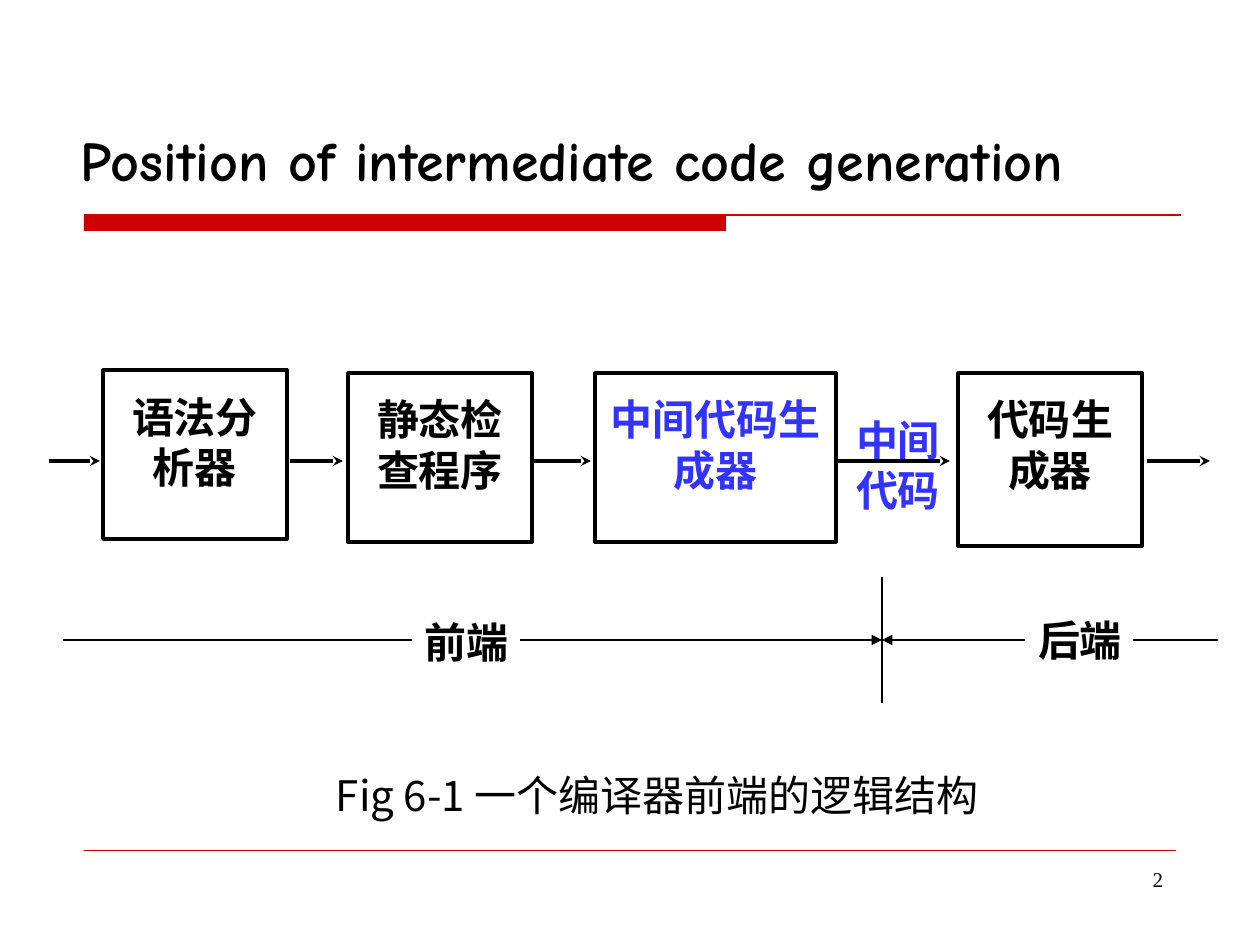
from dataclasses import dataclass
from typing import NamedTuple

from lxml import etree
from pptx import Presentation
from pptx.dml.color import RGBColor
from pptx.enum.shapes import MSO_CONNECTOR, MSO_SHAPE
from pptx.enum.text import MSO_ANCHOR, PP_ALIGN
from pptx.oxml.ns import qn
from pptx.util import Emu, Pt

LEFT, MID, RIGHT = PP_ALIGN.LEFT, PP_ALIGN.CENTER, PP_ALIGN.RIGHT
TOP, BASE = MSO_ANCHOR.TOP, MSO_ANCHOR.BOTTOM
RECT, STRAIGHT = MSO_SHAPE.RECTANGLE, MSO_CONNECTOR.STRAIGHT
SCALE = 914400 / 126


@dataclass(frozen=True)
class Theme:
    black: str = "000000"
    white: str = "FFFFFF"
    red: str = "CC0000"
    blue: str = "3333FF"
    head: str = "Comic Neue"
    body: str = "Noto Sans CJK SC"
    serif: str = "Times New Roman"
    title: int = 32
    text: int = 24
    small: int = 12
    thick: float = 2
    thin: float = 0.75
    hair: float = 0.25


THEME = Theme()


class Area(NamedTuple):
    x: int
    y: int
    w: int
    h: int


@dataclass(frozen=True)
class Style:
    font: str = THEME.body
    size: int = THEME.text
    color: str = THEME.black
    bold: bool = True
    align: PP_ALIGN = LEFT
    anchor: MSO_ANCHOR = TOP
    wrap: bool = True
    inset: tuple[int, int, int, int] = (13, 6, 13, 6)


@dataclass(frozen=True)
class Stage:
    name: str
    area: Area
    color: str = THEME.black


@dataclass(frozen=True)
class Line:
    start: tuple[int, int]
    end: tuple[int, int]
    width: float = THEME.thin
    color: str = THEME.black
    tip: str = ""


FLOW, SPAN, SPLIT = 461, 640, 882

STAGES = [
    Stage("语法分析器", Area(103, 370, 184, 169)),
    Stage("静态检查程序", Area(348, 373, 184, 169)),
    Stage("中间代码生成器", Area(595, 373, 241, 169), THEME.blue),
    Stage("代码生成器", Area(958, 373, 184, 173)),
]
ARROWS = [(49, 100), (290, 343), (534, 591), (835, 950), (1147, 1210)]
LINES = [
    Line((84, 215), (1181, 215), color=THEME.red),
    Line((84, 850), (1176, 850), THEME.hair, THEME.red),
    Line((SPLIT, 577), (SPLIT, 703)),
    Line((63, SPAN), (SPLIT, SPAN), tip="triangle"),
    Line((1218, SPAN), (SPLIT, SPAN), tip="triangle"),
] + [
    Line((a, FLOW), (b, FLOW), THEME.thick, tip="stealth") for a, b in ARROWS
]
SIDES = [("前端", Area(412, 611, 108, 63)), ("后端", Area(1025, 609, 108, 63))]


def px(n: int) -> Emu:
    return Emu(round(n * SCALE))


def rgb(code: str) -> RGBColor:
    return RGBColor.from_string(code)


def write(shape, text: str, style: Style) -> None:
    frame = shape.text_frame
    frame.text = text
    frame.word_wrap = style.wrap
    frame.vertical_anchor = style.anchor
    (frame.margin_left, frame.margin_top,
     frame.margin_right, frame.margin_bottom) = map(px, style.inset)
    for para in frame.paragraphs:
        para.alignment = style.align
        for run in para.runs:
            font = run.font
            font.name, font.size, font.bold = style.font, Pt(style.size), style.bold
            font.color.rgb = rgb(style.color)
            # East Asian glyphs take their typeface from a:ea
            props = run._r.get_or_add_rPr()
            etree.SubElement(props, qn("a:ea"), typeface=style.font)


def label(slide, text: str, area: Area, style: Style) -> None:
    write(slide.shapes.add_textbox(*map(px, area)), text, style)


def block(slide, area: Area, fill: str = "", edge: str = ""):
    """Draw a rectangle; an empty colour means none."""
    shape = slide.shapes.add_shape(RECT, *map(px, area))
    shape.shadow.inherit = False
    if fill:
        shape.fill.solid()
        shape.fill.fore_color.rgb = rgb(fill)
    else:
        shape.fill.background()
    if edge:
        shape.line.color.rgb = rgb(edge)
        shape.line.width = Pt(THEME.thick)
    else:
        shape.line.fill.background()
    return shape


def rule(slide, line: Line) -> None:
    """Draw a straight line, with an arrowhead at its end if it has a tip."""
    wire = slide.shapes.add_connector(STRAIGHT, *map(px, line.start + line.end))
    wire.line.color.rgb = rgb(line.color)
    wire.line.width = Pt(line.width)
    if line.tip:
        etree.SubElement(wire.line._get_or_add_ln(), qn("a:tailEnd"), type=line.tip)
    etree.SubElement(wire._element.spPr, qn("a:effectLst"))


def main() -> None:
    deck = Presentation()
    deck.slide_width, deck.slide_height = px(1260), px(945)
    slide = deck.slides.add_slide(deck.slide_layouts[6])

    block(slide, Area(84, 215, 642, 16), THEME.red)
    label(slide, "Position of intermediate code generation", Area(67, 43, 1216, 156),
          Style(THEME.head, THEME.title, anchor=BASE))
    label(slide, "中间\n代码", Area(835, 413, 136, 169),
          Style(color=THEME.blue, align=MID, inset=(3, 1, 13, 6)))

    for line in LINES:
        rule(slide, line)
    for text, area in SIDES:
        write(block(slide, area, THEME.white), text, Style(wrap=False))
    for stage in STAGES:
        write(block(slide, stage.area, edge=THEME.black), stage.name,
              Style(color=stage.color, align=MID, inset=(13, 21, 13, 6)))

    label(slide, "Fig 6-1 一个编译器前端的逻辑结构", Area(323, 764, 680, 63),
          Style(bold=False, wrap=False))
    label(slide, "2", Area(903, 861, 273, 66),
          Style(THEME.serif, THEME.small, bold=False, align=RIGHT))
    deck.save("out.pptx")


if __name__ == "__main__":
    main()
